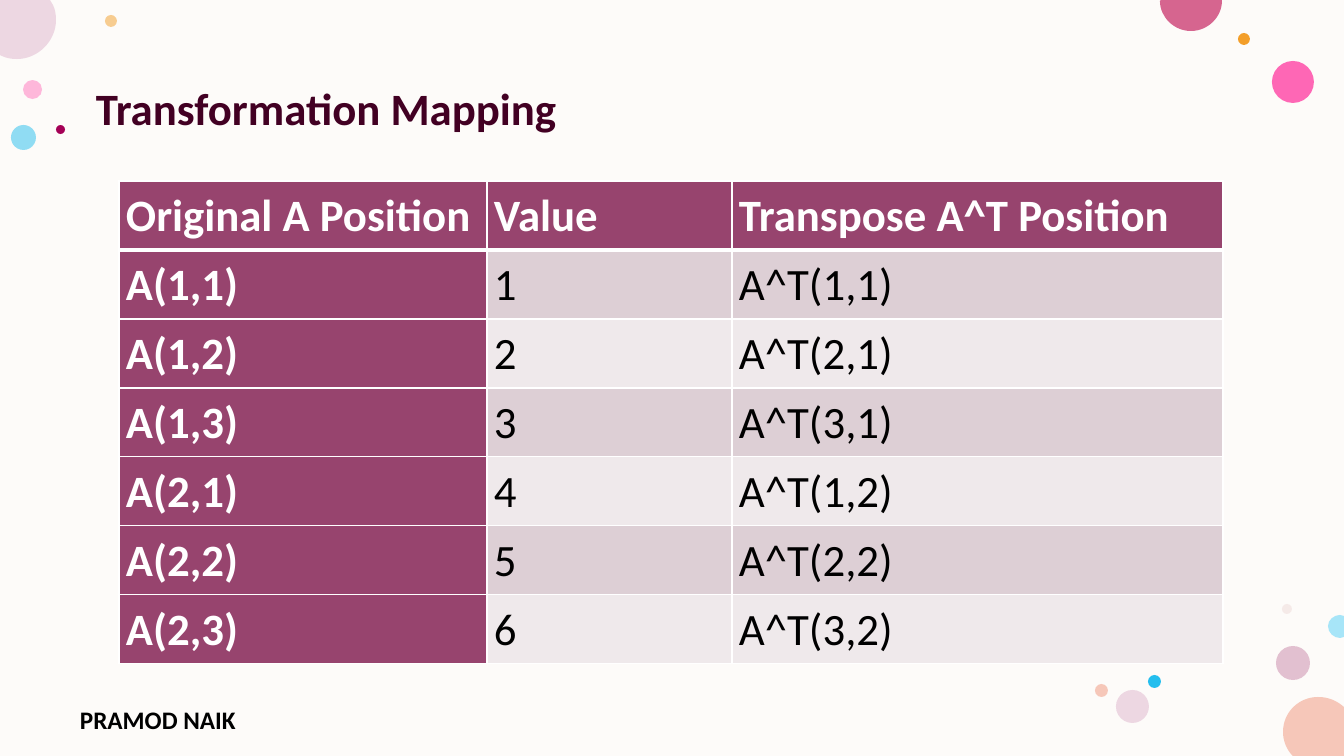
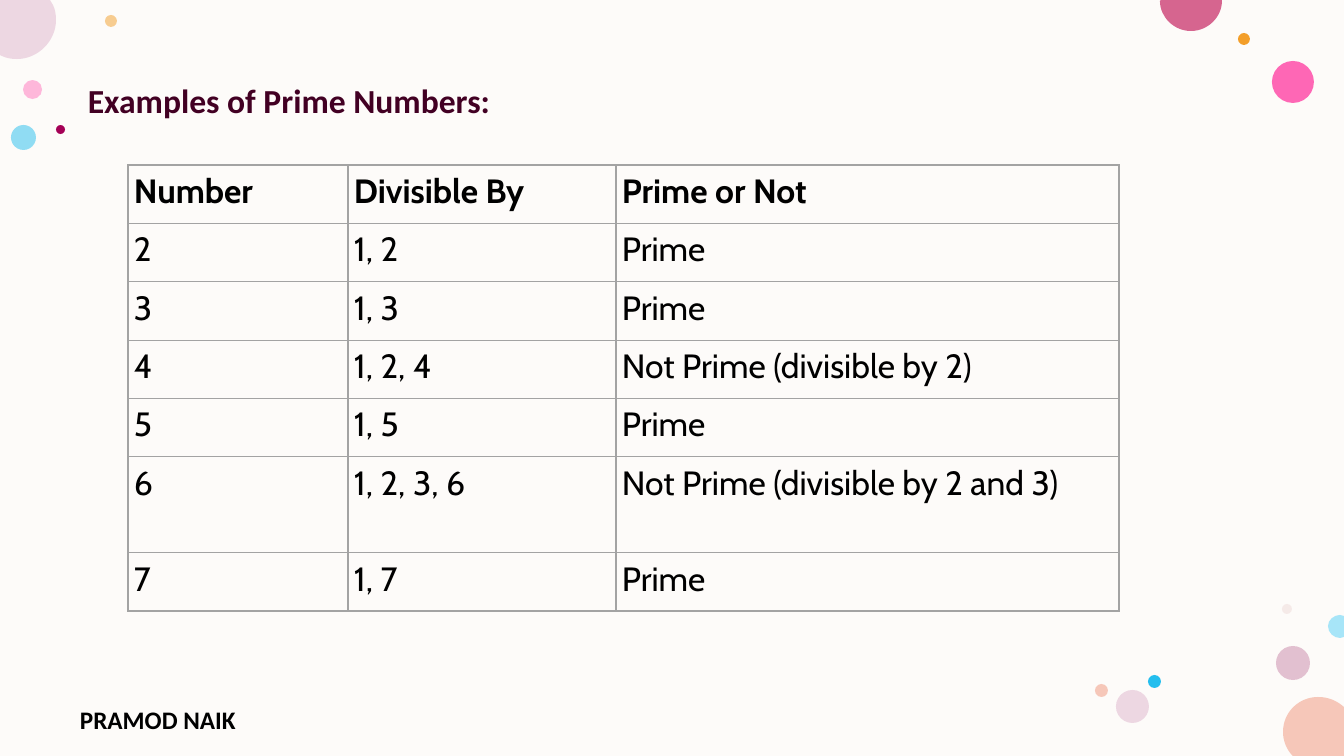
from lxml import etree
from pptx import Presentation
from pptx import util as u
from pptx.dml.color import RGBColor
from pptx.enum import shapes
from pptx.oxml import ns

EMU_PER_PX = 914400 / 100.8
SLIDE_WIDTH, SLIDE_HEIGHT = 1344, 756

COLOURS = {
    "paper": "FDFBF9", "title": "420023", "black": "000000", "white": "FFFFFF",
    "plum": "97446E", "band_dark": "DDCFD5", "band_light": "EFE9EB", "grid": "A3A3A3",
    "pink": "FF75BD", "hot_pink": "FF2F9C", "orange": "F39E29", "mauve": "C987A8",
    "sky": "24BEEE", "pale_sky": "A7E5F8", "dusty": "E3BEBE", "lilac": "EDD7E2",
    "peach": "F6C7B9", "rose": "D6658F", "berry": "A40056",
}

# left, top, diameter, colour, opacity in percent
BUBBLES = [
    (23, 80, 19, "pink", 50),
    (105, 15, 12, "orange", 50),
    (1276, 646, 34, "mauve", 50),
    (11, 125, 25, "sky", 50),
    (1272, 61, 42, "hot_pink", 72),
    (1238, 33, 12, "orange", 100),
    (1282, 604, 10, "dusty", 28),
    (1148, 675, 13, "sky", 100),
    (1116, 690, 33, "lilac", 100),
    (1095, 684, 13, "peach", 100),
    (56, 125, 9, "berry", 100),
]

# Circles cut by the slide's edges: colour, then a start point followed by
# line ends (x, y) and curves (two control points and an end)
EDGE_BUBBLES = [
    ("peach", [(1318, 697), (1329, 697, 1337, 701, 1344, 707), (1344, 756), (1293, 756),
               (1291, 754), (1286, 748, 1283, 740, 1283, 732),
               (1283, 712, 1299, 697, 1318, 697)]),
    ("lilac", [(0, 0), (50, 0), (53, 5), (55, 9, 56, 14, 56, 20),
               (56, 41, 38, 59, 17, 59), (11, 59, 6, 58, 2, 56), (0, 55)]),
    ("rose", [(1161, 0), (1222, 0), (1222, 1), (1222, 17, 1208, 31, 1191, 31),
              (1174, 31, 1160, 17, 1160, 1)]),
    ("pale_sky", [(1340, 615), (1344, 616), (1344, 637), (1340, 638),
                  (1334, 638, 1328, 633, 1328, 626), (1328, 620, 1334, 615, 1340, 615)]),
]

MAPPING_ROWS = [("Original A Position", "Value", "Transpose A^T Position")] + [
    (f"A({row},{column})", str(3 * (row - 1) + column), f"A^T({column},{row})")
    for row in (1, 2) for column in (1, 2, 3)
]

PRIME_ROWS = [
    ("Number", "Divisible By", "Prime or Not"),
    ("2", "1, 2", "Prime"),
    ("3", "1, 3", "Prime"),
    ("4", "1, 2, 4", "Not Prime (divisible by 2)"),
    ("5", "1, 5", "Prime"),
    ("6", "1, 2, 3, 6", "Not Prime (divisible by 2 and 3)"),
    ("7", "1, 7", "Prime"),
]


def emu(pixels):
    return u.Emu(round(pixels * EMU_PER_PX))


def rgb(colour):
    return RGBColor.from_string(COLOURS[colour])


def style_text(paragraph, size, colour, bold, font="Calibri"):
    for run in paragraph.runs:
        run.font.name = font
        run.font.size = u.Pt(size)
        run.font.bold = bold
        run.font.color.rgb = rgb(colour)


def add_text(slide, box, content, size, colour):
    text_box = slide.shapes.add_textbox(*map(emu, box))
    text_box.text_frame.word_wrap = True
    text_box.text_frame.text = content
    paragraph = text_box.text_frame.paragraphs[0]
    style_text(paragraph, size, colour, True)
    return paragraph


def paint(shape, colour, opacity=100):
    shape.shadow.inherit = False
    shape.line.fill.background()
    shape.fill.solid()
    shape.fill.fore_color.rgb = rgb(colour)
    if opacity < 100:
        colour_element = shape.fill._xPr.find(".//" + ns.qn("a:srgbClr"))
        etree.SubElement(colour_element, ns.qn("a:alpha"), val=str(opacity * 1000))


def add_preset(slide, preset, box, colour, opacity=100):
    paint(slide.shapes.add_shape(preset, *map(emu, box)), colour, opacity)


def add_edge_bubble(slide, colour, steps):
    """Draw an outline of lines and curves; each curve merges three line steps."""
    points = [(emu(x), emu(y)) for step in steps for x, y in zip(step[::2], step[1::2])]
    builder = slide.shapes.build_freeform(*points[0])
    builder.add_line_segments(points[1:], close=True)
    shape = builder.convert_to_shape()
    segments = iter(list(shape._element.iter(ns.qn("a:lnTo"))))
    for step in steps[1:]:
        segment = next(segments)
        if len(step) == 6:
            segment.addprevious(curve := etree.Element(ns.qn("a:cubicBezTo")))
            for part in (segment, next(segments), next(segments)):
                curve.append(part[0])
                part.getparent().remove(part)
    paint(shape, colour)


def add_base_slide(presentation, title, title_box, title_size):
    """Add a slide with the shared backdrop, bubbles, footer and title."""
    slide = presentation.slides.add_slide(presentation.slide_layouts[6])
    add_preset(slide, shapes.MSO_SHAPE.RECTANGLE, (0, 0, SLIDE_WIDTH, SLIDE_HEIGHT), "paper")
    for left, top, diameter, colour, opacity in BUBBLES:
        add_preset(slide, shapes.MSO_SHAPE.OVAL, (left, top, diameter, diameter),
                   colour, opacity)
    for colour, steps in EDGE_BUBBLES:
        add_edge_bubble(slide, colour, steps)
    add_text(slide, (70, 699, 247, 32), "PRAMOD NAIK", 18, "black")
    paragraph = add_text(slide, title_box, title, title_size, "title")
    paragraph.line_spacing = 0.9
    paragraph.space_before = u.Pt(10)
    return slide


def set_borders(cell, colour, bottom=1):
    """Draw the four cell borders; widths are in points."""
    properties = cell._tc.get_or_add_tcPr()
    for side, width in (("L", 1), ("R", 1), ("T", 1), ("B", bottom)):
        line = etree.SubElement(properties, ns.qn(f"a:ln{side}"), w=str(u.Pt(width)))
        fill = etree.SubElement(line, ns.qn("a:solidFill"))
        etree.SubElement(fill, ns.qn("a:srgbClr"), val=COLOURS[colour])


def add_table(slide, box, column_widths, row_weights, rows, style_cell):
    """Fill the box with a table whose rows share its height by weight."""
    left, top, height = box
    frame = slide.shapes.add_table(
        len(rows), len(column_widths),
        *map(emu, (left, top, sum(column_widths), height)))
    table = frame.table
    table.horz_banding = False
    table.first_row = False
    for column, width in zip(table.columns, column_widths):
        column.width = emu(width)
    for row, weight in zip(table.rows, row_weights):
        row.height = emu(height * weight / sum(row_weights))
    for row_index, values in enumerate(rows):
        for column_index, value in enumerate(values):
            cell = table.cell(row_index, column_index)
            cell.text_frame.text = value
            style_cell(cell, row_index, column_index)


def set_margins(cell, horizontal, vertical):
    cell.margin_left = cell.margin_right = emu(horizontal)
    cell.margin_top = cell.margin_bottom = emu(vertical)


def style_mapping_cell(cell, row_index, column_index):
    heading = row_index == 0 or column_index == 0
    set_margins(cell, 7, 0)
    set_borders(cell, "white", bottom=3 if row_index == 0 else 1)
    band = "band_dark" if row_index % 2 else "band_light"
    cell.fill.solid()
    cell.fill.fore_color.rgb = rgb("plum" if heading else band)
    paragraph = cell.text_frame.paragraphs[0]
    paragraph.line_spacing = 1.15
    paragraph.space_after = u.Pt(8)
    style_text(paragraph, 32, "white" if heading else "black", heading)


def style_prime_cell(cell, row_index, column_index):
    set_margins(cell, 6, 6)
    set_borders(cell, "grid")
    cell.fill.background()
    style_text(cell.text_frame.paragraphs[0], 24, "black", row_index == 0, "Cabin")


def add_mapping_slide(presentation):
    slide = add_base_slide(presentation, "Transformation Mapping", (86, 82, 1175, 600), 32)
    add_table(slide, (119, 181, 483), (368, 245, 491), [1] * len(MAPPING_ROWS),
              MAPPING_ROWS, style_mapping_cell)


def add_prime_slide(presentation):
    slide = add_base_slide(presentation, "Examples of Prime Numbers:", (78, 80, 1202, 586), 24)
    add_table(slide, (128, 165, 446), (220, 268, 503), (1, 1, 1, 1, 1, 1.64, 1),
              PRIME_ROWS, style_prime_cell)


def main():
    presentation = Presentation()
    presentation.slide_width = emu(SLIDE_WIDTH)
    presentation.slide_height = emu(SLIDE_HEIGHT)
    add_mapping_slide(presentation)
    add_prime_slide(presentation)
    presentation.save("out.pptx")


if __name__ == "__main__":
    main()
